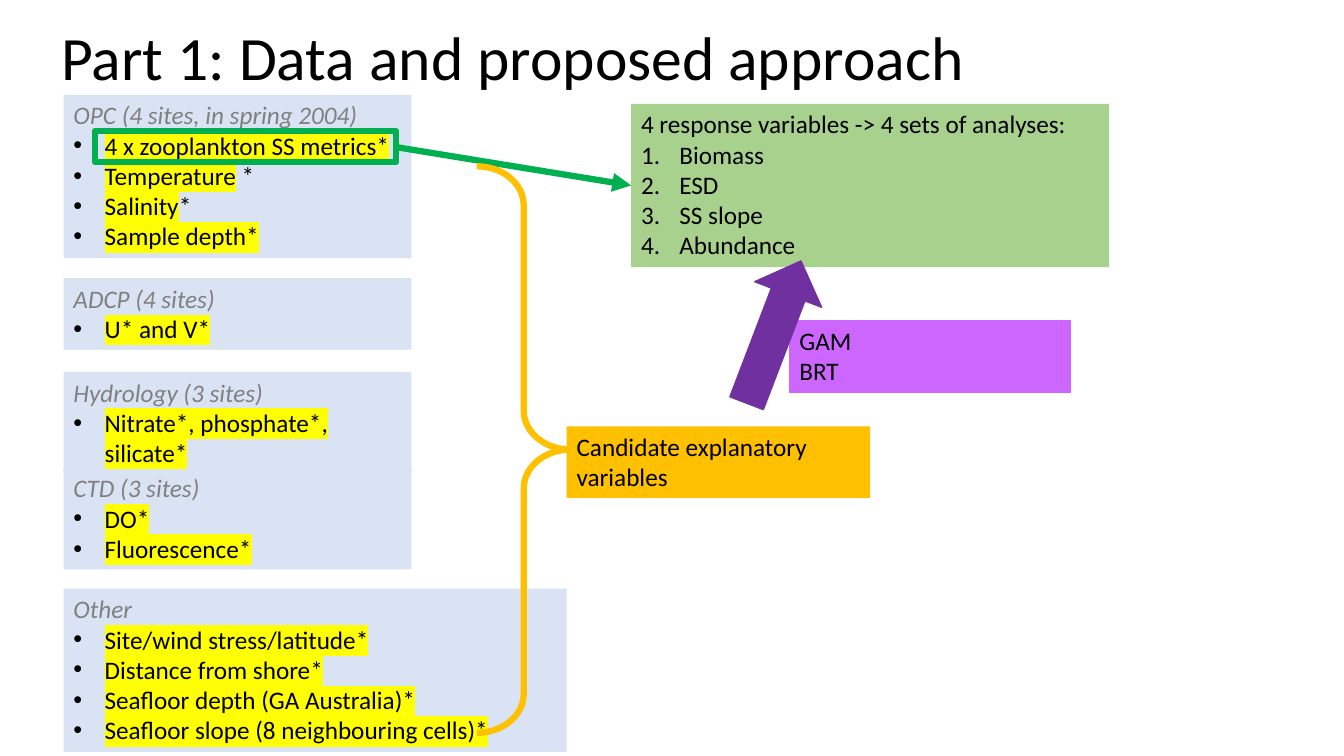
import pptx
import pptx.util
import pptx.dml.color
import pptx.enum.shapes
import pptx.enum.text
import pptx.oxml.ns
from dataclasses import dataclass
from typing import Optional
from lxml import etree

Inches = pptx.util.Inches
Pt = pptx.util.Pt
RGBColor = pptx.dml.color.RGBColor
Shape = pptx.enum.shapes.MSO_SHAPE
qn = pptx.oxml.ns.qn

FONT = "Calibri"
BLACK = RGBColor(0x00, 0x00, 0x00)
GREY = RGBColor(0x80, 0x80, 0x80)
PALE = RGBColor(0xDA, 0xE3, 0xF3)
YELLOW = RGBColor(0xFF, 0xFF, 0x00)
GREEN = RGBColor(0x00, 0xB0, 0x50)
SAGE = RGBColor(0xA9, 0xD1, 0x8E)
GOLD = RGBColor(0xFF, 0xC0, 0x00)
LILAC = RGBColor(0xCC, 0x66, 0xFF)
PURPLE = RGBColor(0x70, 0x30, 0xA0)


@dataclass
class Run:
    text: str
    mark: bool = False
    head: bool = False


@dataclass
class Para:
    runs: list[Run]
    list_kind: str = ""


@dataclass
class Box:
    left: float
    top: float
    width: float
    height: float
    fill: Optional[RGBColor]
    paras: list[Para]
    line: Optional[RGBColor] = None
    weight: float = 4.5
    kind: Shape = Shape.RECTANGLE


def head(text: str) -> Para:
    return Para([Run(text, head=True)])


def item(text: str, tail: str = "") -> Para:
    runs = [Run(text, mark=True)]
    return Para(runs + [Run(tail)] if tail else runs, "dot")


def plain(text: str, kind: str = "") -> Para:
    return Para([Run(text)], kind)


def add_run(par, run: Run, size: float = 18) -> None:
    part = par.add_run()
    part.text = run.text
    font = part.font
    font.size = Pt(size)
    font.italic = run.head
    font.color.rgb = GREY if run.head else BLACK
    if run.mark:
        # The highlight has to come before the font name
        mark = etree.SubElement(part._r.get_or_add_rPr(), qn("a:highlight"))
        etree.SubElement(mark, qn("a:srgbClr"), val=str(YELLOW))
    font.name = FONT


def add_list(par, kind: str) -> None:
    props = par._p.get_or_add_pPr()
    dent = Inches(0.31 if kind == "dot" else 0.38)
    props.set("marL", str(dent))
    props.set("indent", str(-dent))
    if kind == "dot":
        etree.SubElement(props, qn("a:buFont"), typeface="Arial")
        etree.SubElement(props, qn("a:buChar"), char="•")
    else:
        etree.SubElement(props, qn("a:buFont"), typeface="+mj-lt")
        etree.SubElement(props, qn("a:buAutoNum"), type="arabicPeriod")


def add_box(slide, box: Box):
    shape = slide.shapes.add_shape(
        box.kind, Inches(box.left), Inches(box.top), Inches(box.width), Inches(box.height))
    shape.shadow.inherit = False
    if box.fill is None:
        shape.fill.background()
    else:
        shape.fill.solid()
        shape.fill.fore_color.rgb = box.fill
    if box.line is None:
        shape.line.fill.background()
    else:
        shape.line.color.rgb = box.line
        shape.line.width = Pt(box.weight)
    if box.paras:
        frame = shape.text_frame
        frame.word_wrap = True
        frame.auto_size = pptx.enum.text.MSO_AUTO_SIZE.SHAPE_TO_FIT_TEXT
        frame.vertical_anchor = pptx.enum.text.MSO_ANCHOR.TOP
        for i, para in enumerate(box.paras):
            par = frame.paragraphs[0] if i == 0 else frame.add_paragraph()
            par.alignment = pptx.enum.text.PP_ALIGN.LEFT
            if para.list_kind:
                add_list(par, para.list_kind)
            for run in para.runs:
                add_run(par, run)
    return shape


def add_arrow(slide, start: tuple[float, float], end: tuple[float, float]) -> None:
    link = slide.shapes.add_connector(
        pptx.enum.shapes.MSO_CONNECTOR.STRAIGHT, *map(Inches, start + end))
    link.line.color.rgb = GREEN
    link.line.width = Pt(4.5)
    etree.SubElement(link.line._get_or_add_ln(), qn("a:tailEnd"), type="triangle")
    etree.SubElement(link._element.spPr, qn("a:effectLst"))


def add_title(slide, text: str) -> None:
    title = slide.shapes.title
    title.left, title.top = Inches(0.51), Inches(-0.12)
    title.width, title.height = Inches(11.5), Inches(1.45)
    frame = title.text_frame
    frame.word_wrap = True
    frame.vertical_anchor = pptx.enum.text.MSO_ANCHOR.MIDDLE
    par = frame.paragraphs[0]
    par.alignment = pptx.enum.text.PP_ALIGN.LEFT
    par.line_spacing = 0.9
    add_run(par, Run(text), 44)


# Data sources, stacked on the left
LEFT, WIDE = 0.63, 3.45
SOURCES = [
    Box(LEFT, 4.64, WIDE, 1.01, PALE, [
        head("CTD (3 sites)"), item("DO*"), item("Fluorescence*")]),
    Box(LEFT, 0.94, WIDE, 1.62, PALE, [
        head("OPC (4 sites, in spring 2004)"), item("4 x zooplankton SS metrics*"),
        item("Temperature", " *"), item("Salinity", "*"), item("Sample depth*")]),
    Box(LEFT, 3.69, WIDE, 1.01, PALE, [
        head("Hydrology (3 sites)"), item("Nitrate*, phosphate*, silicate*")]),
    Box(LEFT, 2.76, WIDE, 0.71, PALE, [head("ADCP (4 sites)"), item("U* and V*")]),
]
FRAME = Box(0.94, 1.3, 2.99, 0.31, None, [], GREEN)

# Responses, other sources and methods
RESPONSE = Box(6.26, 1.03, 4.74, 1.62, SAGE, [
    plain("4 response variables -> 4 sets of analyses:"),
    *(plain(name, "num") for name in ("Biomass", "ESD", "SS slope", "Abundance"))])
OTHER = Box(LEFT, 5.84, 4.99, 1.62, PALE, [
    head("Other"), item("Site/wind stress/latitude*"), item("Distance from shore*"),
    item("Seafloor depth (GA Australia)*"), item("Seafloor slope (8 neighbouring cells)*")])
BRACE = Box(4.73, 1.65, 0.93, 5.62, None, [], GOLD, kind=Shape.RIGHT_BRACE)
INPUT = Box(5.62, 4.23, 3.01, 0.71, GOLD, [plain("Candidate explanatory variables")])
METHOD = Box(7.83, 3.18, 2.79, 0.71, LILAC, [plain("GAM"), plain("BRT")], LILAC, 0.75)
ARROW = Box(6.92, 2.94, 1.51, 0.71, PURPLE, [], PURPLE, 1, Shape.RIGHT_ARROW)


def main() -> None:
    deck = pptx.Presentation()
    deck.slide_width, deck.slide_height = Inches(13.33), Inches(7.5)
    slide = deck.slides.add_slide(deck.slide_layouts[5])
    add_title(slide, "Part 1: Data and proposed approach")

    # Sources and the link to the responses
    for box in SOURCES + [FRAME]:
        add_box(slide, box)
    add_arrow(slide, (3.93, 1.46), (6.26, 1.84))
    add_box(slide, RESPONSE)
    add_box(slide, OTHER)

    # Explanatory variables and the models
    brace = add_box(slide, BRACE)
    brace.adjustments[0] = 0.414
    brace.adjustments[1] = 0.5
    add_box(slide, INPUT)
    add_box(slide, METHOD)
    add_box(slide, ARROW).rotation = 290.9
    deck.save("out.pptx")


if __name__ == "__main__":
    main()
